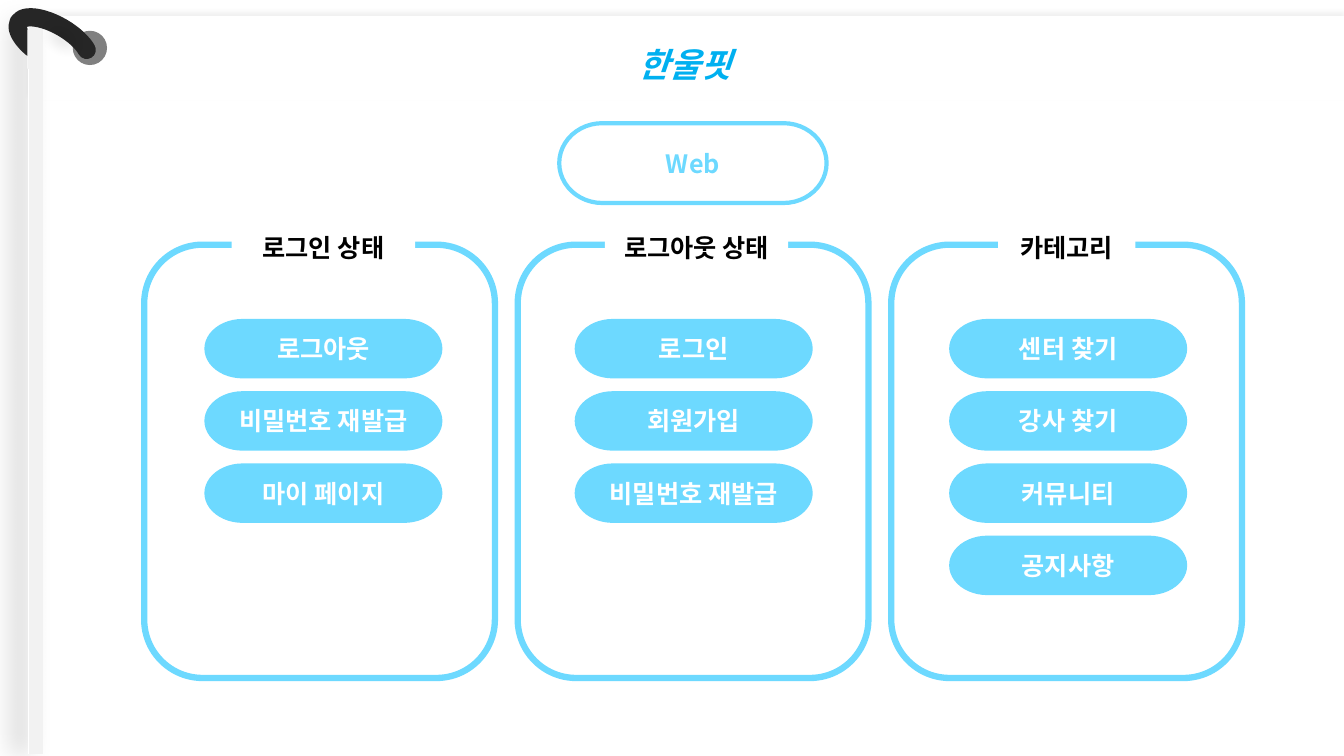
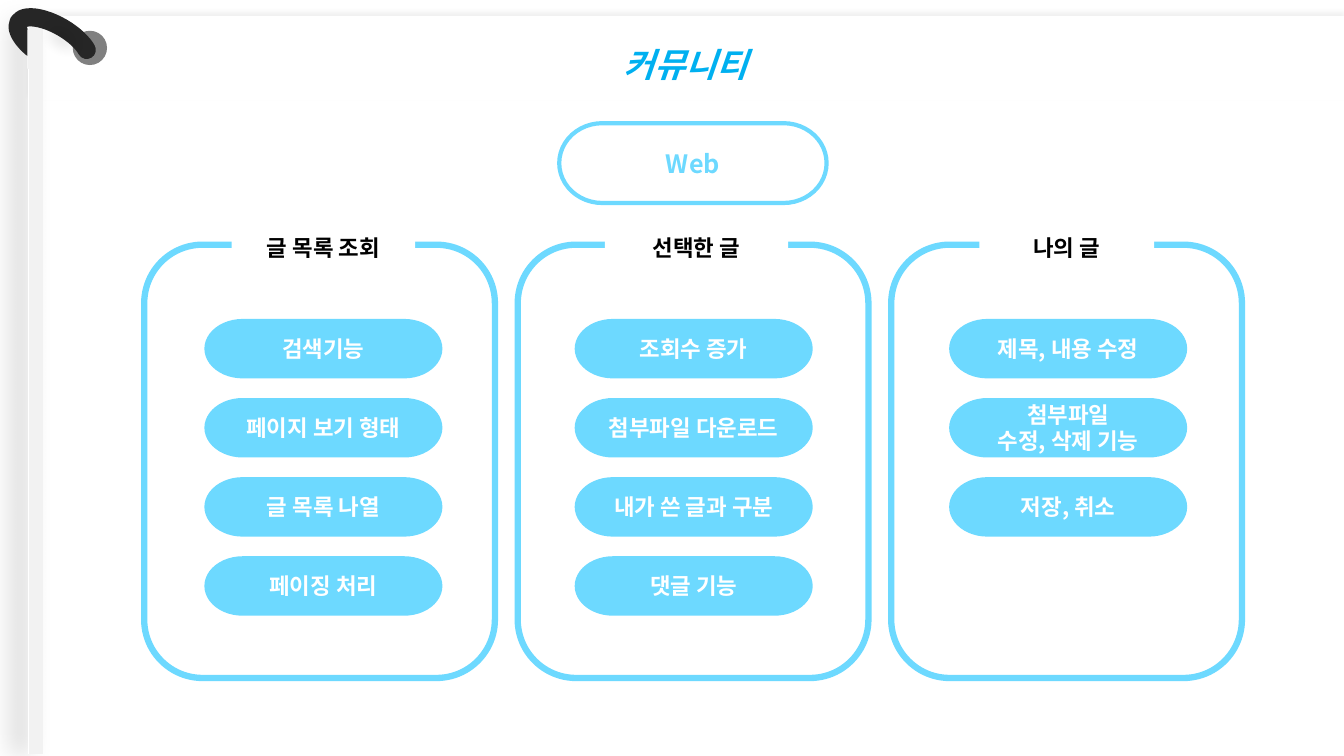
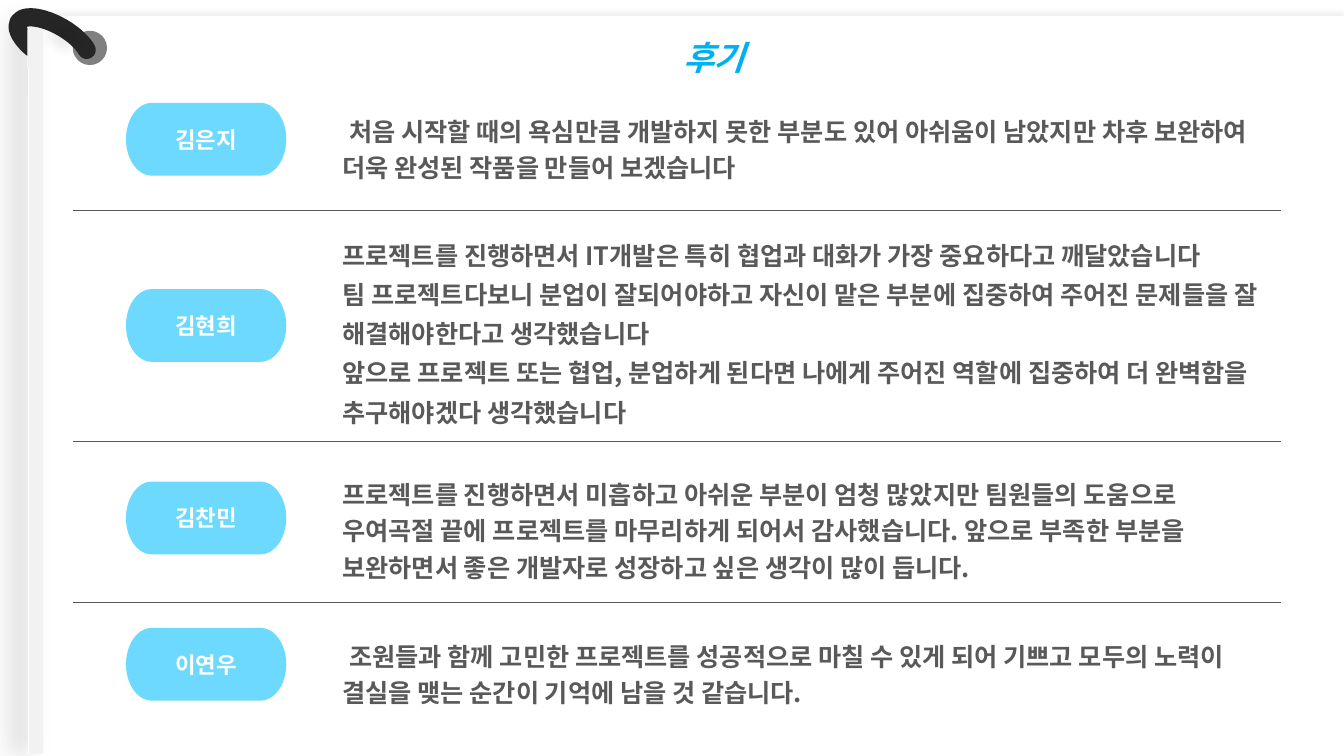
from lxml.etree import SubElement
from pptx import Presentation
from pptx.dml.color import RGBColor
from pptx.enum.dml import MSO_PATTERN
from pptx.enum.shapes import MSO_CONNECTOR, MSO_SHAPE
from pptx.enum.text import MSO_ANCHOR, MSO_AUTO_SIZE, PP_ALIGN
from pptx.oxml.ns import qn
from pptx.util import Pt

FONT = "Noto Sans CJK KR"
HUES = {
    "title": "00B0F0", "sky": "6DD9FF", "white": "FFFFFF", "black": "000000",
    "body": "595959", "band": "F2F2F2", "hole": "808080", "ring": "262626",
}

# Each column: label, label width, pill texts
MAPS = [
    {"title": "한울핏", "size": 18, "step": 51.6, "cols": [
        ("로그인 상태", 131, ["로그아웃", "비밀번호 재발급", "마이 페이지"]),
        ("로그아웃 상태", 131, ["로그인", "회원가입", "비밀번호 재발급"]),
        ("카테고리", 98, ["센터 찾기", "강사 찾기", "커뮤니티", "공지사항"]),
    ]},
    {"title": "커뮤니티", "size": 16, "step": 56.5, "cols": [
        ("글 목록 조회", 131,
         ["검색기능", "페이지 보기 형태", "글 목록 나열", "페이징 처리"]),
        ("선택한 글", 131,
         ["조회수 증가", "첨부파일 다운로드", "내가 쓴 글과 구분", "댓글 기능"]),
        ("나의 글", 125,
         ["제목, 내용 수정", "첨부파일\n수정, 삭제 기능", "저장, 취소"]),
    ]},
]
PILL_X = [146, 410.5, 678]
LABEL_MID = [231, 497.5, 762]

# Name, pill top, text top, text width, text height, line pitch, indent, text
NOTES = [
    ("김은지", 73.5, 75, 662, 60, 26, 5,
     "처음 시작할 때의 욕심만큼 개발하지 못한 부분도 있어 아쉬움이 남았지만 차후 "
     "보완하여 더욱 완성된 작품을 만들어 보겠습니다"),
    ("김현희", 206.5, 161.5, 694, 146, 28, 0,
     "프로젝트를 진행하면서 IT개발은 특히 협업과 대화가 가장 중요하다고 깨달았습니다\n"
     "팀 프로젝트다보니 분업이 잘되어야하고 자신이 맡은 부분에 집중하여 주어진 문제들을 잘 "
     "해결해야한다고 생각했습니다\n"
     "앞으로 프로젝트 또는 협업, 분업하게 된다면 나에게 주어진 역할에 집중하여 더 완벽함을 "
     "추구해야겠다 생각했습니다"),
    ("김찬민", 344, 334.5, 662, 84, 26, 0,
     "프로젝트를 진행하면서 미흡하고 아쉬운 부분이 엄청 많았지만 팀원들의 도움으로 "
     "우여곡절 끝에 프로젝트를 마무리하게 되어서 감사했습니다. 앞으로 부족한 부분을 "
     "보완하면서 좋은 개발자로 성장하고 싶은 생각이 많이 듭니다."),
    ("이연우", 448.5, 450, 662, 57, 26, 5,
     "조원들과 함께 고민한 프로젝트를 성공적으로 마칠 수 있게 되어 기쁘고 모두의 노력이 "
     "결실을 맺는 순간이 기억에 남을 것 같습니다."),
]
RULES = [150, 315.5, 430]


def hue(name):
    return RGBColor.from_string(HUES[name])


def write(shape, text, size=18, color="white", align=PP_ALIGN.CENTER,
          anchor=MSO_ANCHOR.MIDDLE, italic=False, pitch=None, indent=0):
    frame = shape.text_frame
    frame.word_wrap = True
    frame.auto_size = MSO_AUTO_SIZE.NONE
    frame.vertical_anchor = anchor
    for i, line in enumerate(text.split("\n")):
        para = frame.add_paragraph() if i else frame.paragraphs[0]
        para.alignment = align
        if pitch:
            para.line_spacing = Pt(pitch)
        if indent:
            para._p.get_or_add_pPr().set("indent", str(Pt(indent)))
        run = para.add_run()
        run.text = line
        font = run.font
        font.name, font.size = FONT, Pt(size)
        font.bold, font.italic = True, italic
        font.color.rgb = hue(color)
        SubElement(run._r.get_or_add_rPr(), qn("a:ea"), typeface=FONT)


def draw(shapes, kind, box, fill=None, line=None, width=1, turn=0):
    shape = shapes.add_shape(kind, *map(Pt, box))
    shape.shadow.inherit = False
    shape.rotation = turn
    if fill == "band":
        shape.fill.patterned()
        shape.fill.pattern = MSO_PATTERN.DARK_VERTICAL
        shape.fill.fore_color.rgb = hue("band")
        shape.fill.back_color.rgb = hue("white")
    elif fill:
        shape.fill.solid()
        shape.fill.fore_color.rgb = hue(fill)
    else:
        shape.fill.background()
    if line:
        shape.line.color.rgb = hue(line)
        shape.line.width = Pt(width)
    else:
        shape.line.fill.background()
    return shape


def shade(shape, alpha, blur, dist, angle):
    """Give the shape an outer shadow."""
    effects = shape._element.spPr.find(qn("a:effectLst"))
    outer = SubElement(effects, qn("a:outerShdw"), blurRad=str(Pt(blur)),
                       dist=str(Pt(dist)), dir=str(angle * 60000),
                       algn="ctr", rotWithShape="0")
    color = SubElement(outer, qn("a:srgbClr"), val=HUES["black"])
    SubElement(color, qn("a:alpha"), val=str(alpha * 1000))


def bind(slide):
    """Draw the notebook edge and its ring behind everything else."""
    group = slide.shapes.add_group_shape()
    parts = group.shapes
    page = draw(parts, MSO_SHAPE.RECTANGLE, (20, 11.5, 940, 60), "white")
    shade(page, 5, 4, 3, 270)
    edge = draw(parts, MSO_SHAPE.RECTANGLE, (20, 14.5, 10, 524), "band")
    shade(edge, 20, 18, 11, 180)
    draw(parts, MSO_SHAPE.OVAL, (52, 22, 24.5, 24.5), "hole")
    ring = draw(parts, MSO_SHAPE.ARC, (9.5, 18, 57.5, 24.5),
                line="ring", width=13, turn=30)
    ring.adjustments[0], ring.adjustments[1] = 80.98, 205.72
    ring.line._get_or_add_ln().set("cap", "rnd")
    draw(parts, MSO_SHAPE.RECTANGLE, (19.5, 21, 10, 28), "band")
    glow = draw(parts, MSO_SHAPE.OVAL, (16.5, 9.5, 55.5, 36.5), "black", turn=22.4)
    props = glow._element.spPr
    color = props.find(qn("a:solidFill")).find(qn("a:srgbClr"))
    SubElement(color, qn("a:alpha"), val="30000")
    SubElement(props.find(qn("a:effectLst")), qn("a:softEdge"), rad=str(Pt(12)))
    slide.shapes._spTree.insert(2, group._element)


def start(deck, title, box):
    slide = deck.slides.add_slide(deck.slide_layouts[5])
    head = slide.shapes.title
    head.left, head.top, head.width, head.height = map(Pt, box)
    write(head, title, size=24, color="title", italic=True)
    bind(slide)
    return slide


def pill(slide, box, text, size):
    shape = draw(slide.shapes, MSO_SHAPE.FLOWCHART_TERMINATOR, box, "sky")
    write(shape, text, size=size, pitch=18.6 if "\n" in text else None)


def site(deck, data):
    """Add a site map slide with three framed columns."""
    slide = start(deck, data["title"], (404.5, 28, 170, 36))
    size = data["size"]
    web = draw(slide.shapes, MSO_SHAPE.FLOWCHART_TERMINATOR,
               (399.5, 88, 191, 57), line="sky", width=3)
    write(web, "Web", color="sky")
    for i, (label, wide, items) in enumerate(data["cols"]):
        draw(slide.shapes, MSO_SHAPE.ROUNDED_RECTANGLE,
             (103 + 266.8 * i, 174.8, 250.5, 309.5), line="sky", width=4.5)
        tab = draw(slide.shapes, MSO_SHAPE.RECTANGLE,
                   (LABEL_MID[i] - wide / 2, 160.5, wide, 32), "white")
        write(tab, label, size=size, color="black")
        for j, item in enumerate(items):
            top = 227.8 + data["step"] * j
            pill(slide, (PILL_X[i], top, 170, 42.5), item, size)


def review(deck):
    slide = start(deck, "후기", (363, 23, 294, 36))
    for name, top, y, wide, high, pitch, indent, text in NOTES:
        pill(slide, (90, top, 114.5, 52), name, 16)
        box = slide.shapes.add_textbox(Pt(237.5), Pt(y), Pt(wide), Pt(high))
        write(box, text, color="body", align=PP_ALIGN.LEFT,
              anchor=MSO_ANCHOR.TOP, pitch=pitch, indent=indent)
    for y in RULES:
        rule = slide.shapes.add_connector(
            MSO_CONNECTOR.STRAIGHT, Pt(52), Pt(y), Pt(915), Pt(y))
        rule.line.color.rgb = hue("body")
        rule.line.width = Pt(0.5)
        SubElement(rule._element.spPr, qn("a:effectLst"))


def main():
    deck = Presentation()
    deck.slide_width, deck.slide_height = Pt(960), Pt(540)
    for data in MAPS:
        site(deck, data)
    review(deck)
    deck.save("out.pptx")


if __name__ == "__main__":
    main()
